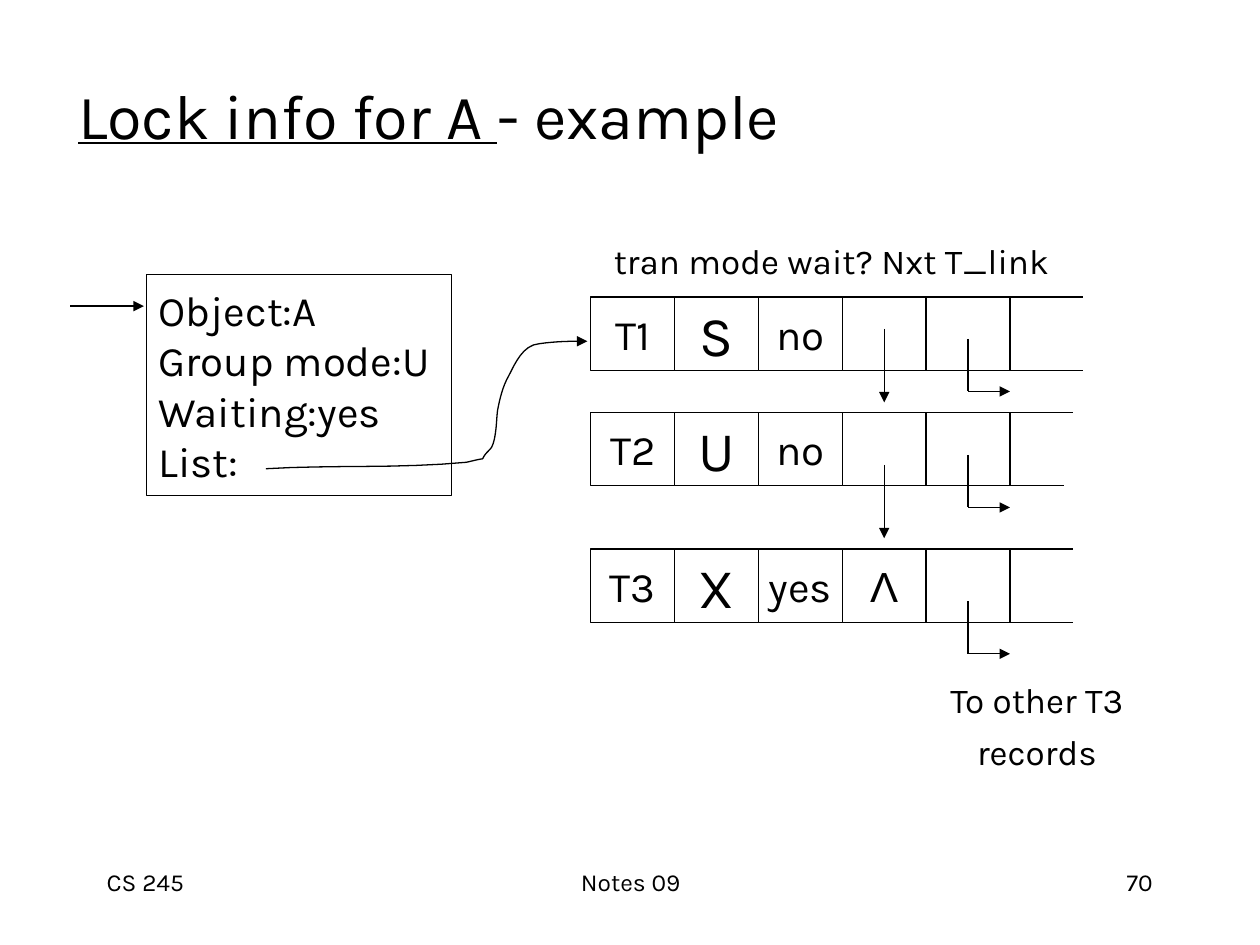
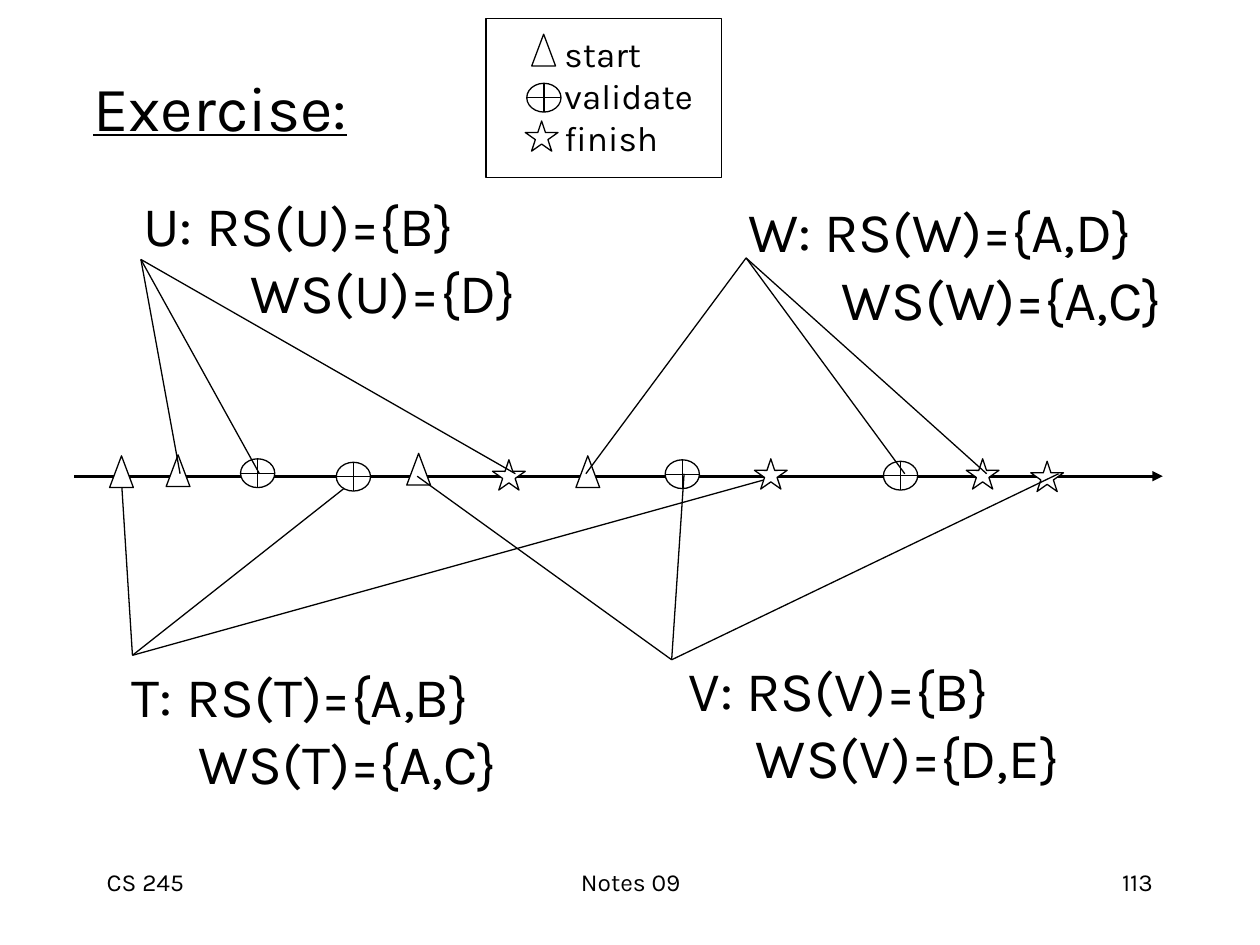
"""Build two lecture slides: a lock table example and a validation exercise."""
from dataclasses import dataclass
from typing import NamedTuple, Optional

from lxml import etree
from pptx import Presentation
from pptx.dml.color import RGBColor
from pptx.enum.shapes import MSO_CONNECTOR, MSO_SHAPE
from pptx.enum.text import MSO_ANCHOR, MSO_AUTO_SIZE, PP_ALIGN
from pptx.oxml.ns import qn
from pptx.util import Cm, Pt

STRAIGHT = MSO_CONNECTOR.STRAIGHT
RECT = MSO_SHAPE.RECTANGLE
START = MSO_SHAPE.FLOWCHART_EXTRACT
VALIDATE = MSO_SHAPE.FLOWCHART_OR
FINISH = MSO_SHAPE.STAR_5_POINT
LEFT, CENTER, RIGHT = PP_ALIGN.LEFT, PP_ALIGN.CENTER, PP_ALIGN.RIGHT
TOP, MIDDLE = MSO_ANCHOR.TOP, MSO_ANCHOR.MIDDLE
NO_FIT = MSO_AUTO_SIZE.NONE


@dataclass(frozen=True)
class Theme:
    """Colours, fonts and sizes used on every slide."""
    ink: RGBColor = RGBColor(0, 0, 0)
    paper: RGBColor = RGBColor(255, 255, 255)
    font: str = "Karla"
    symbol_font: str = "Arial"
    title: int = 36
    large: int = 32
    text: int = 24
    label: int = 20
    footer: int = 14
    thin: float = 0.75
    thick: float = 1.5


THEME = Theme()


class Point(NamedTuple):
    """A place in centimetres."""
    x: float
    y: float


class Box(NamedTuple):
    """A rectangle in centimetres."""
    left: float
    top: float
    width: float
    height: float

    def lengths(self) -> list:
        """Return the four values as lengths."""
        return [Cm(value) for value in self]


class Footer(NamedTuple):
    """A footer field; the text None stands for the slide number."""
    box: Box
    align: PP_ALIGN
    text: Optional[str]


class LockRecord(NamedTuple):
    """One transaction's row in the lock list."""
    top: float
    tran: str
    mode: str
    wait: str
    nxt: str
    next_start: Optional[float]
    link_start: float
    top_rail_end: float
    bottom_rail: Point


class Transaction(NamedTuple):
    """Read and write sets with rays from an apex to its events."""
    box: Box
    read_set: str
    write_set: str
    indent: float
    apex: Point
    events: list[Point]


class MarkerKind(NamedTuple):
    """An event symbol with its size and places, the legend's first."""
    shape: MSO_SHAPE
    width: float
    height: float
    places: list[Point]


FOOTERS = [
    Footer(Box(1.9, 17.35, 5.28, 1.27), LEFT, "CS 245"),
    Footer(Box(8.69, 17.35, 8.05, 1.27), CENTER, "Notes 09"),
    Footer(Box(18.21, 17.35, 5.28, 1.27), RIGHT, None),
]

CELL_WIDTH, CELL_HEIGHT, LIST_LEFT = 1.69, 1.48, 11.91
LIST_RIGHT = LIST_LEFT + 5 * CELL_WIDTH
LINK_DROP = 1.06
LOCK_RECORDS = [
    LockRecord(5.99, "T1", "S", "no", "", 6.63, 6.83, 21.84, Point(LIST_RIGHT, 21.84)),
    LockRecord(8.31, "T2", "U", "no", "", 9.37, 9.17, 21.64, Point(20.17, 21.44)),
    LockRecord(11.07, "T3", "X", "yes", "Λ", None, 12.12, 21.64, Point(LIST_RIGHT, 21.64)),
]
LIST_POINTER = [Point(*pair) for pair in (
    (5.36, 9.45), (6.71, 9.37), (8.05, 9.45), (9.4, 9.32),
    (9.5, 9.3), (9.6, 9.27), (9.73, 9.25),
    (9.78, 9.14), (9.86, 9.09), (9.91, 9.02),
    (10.01, 8.84), (10.01, 8.43), (10.03, 8.28),
    (10.08, 8.03), (10.13, 7.8), (10.26, 7.57),
    (10.39, 7.32), (10.54, 6.96), (10.87, 6.93),
    (11.23, 6.88), (11.48, 6.88), (11.84, 6.88),
)]

TRANSACTION_T = Transaction(
    Box(2.41, 13.21, 8.2, 2.97), "T: RS(T)={A,B}", "WS(T)={A,C}", 1.35,
    Point(2.67, 13.21), [Point(2.44, 9.55), Point(7.21, 9.63), Point(15.67, 9.6)])
OTHER_TRANSACTIONS = [
    Transaction(Box(13.64, 13.08, 8.26, 2.97), "V: RS(V)={B}", "WS(V)={D,E}", 1.35,
                Point(13.54, 13.3), [Point(8.41, 9.6), Point(13.79, 9.55), Point(21.34, 9.55)]),
    Transaction(Box(2.64, 3.71, 8.36, 2.97), "U: RS(U)={B}", "WS(U)={D}", 2.16,
                Point(2.84, 5.23), [Point(3.63, 9.55), Point(5.23, 9.55), Point(10.39, 9.55)]),
    Transaction(Box(14.83, 3.84, 9.19, 2.97), "W: RS(W)={A,D}", "WS(W)={A,C}", 1.89,
                Point(15.04, 5.2), [Point(11.81, 9.55), Point(18.24, 9.55), Point(19.89, 9.55)]),
]
MARKER_KINDS = [
    MarkerKind(START, 0.48, 0.64, [
        Point(10.72, 0.69), Point(2.21, 9.19), Point(3.35, 9.17), Point(8.2, 9.14),
        Point(11.61, 9.19)]),
    MarkerKind(VALIDATE, 0.69, 0.58, [
        Point(10.62, 1.68), Point(4.85, 9.25), Point(6.78, 9.32), Point(13.41, 9.27),
        Point(17.81, 9.3)]),
    MarkerKind(FINISH, 0.66, 0.61, [
        Point(10.59, 2.44), Point(9.93, 9.27), Point(15.21, 9.25), Point(19.48, 9.25),
        Point(20.78, 9.3)]),
]


def style_paragraph(paragraph, size: int, align: PP_ALIGN = LEFT, font: str = THEME.font) -> None:
    """Set a paragraph's alignment and font."""
    paragraph.alignment = align
    paragraph.font.name = font
    paragraph.font.size = Pt(size)
    paragraph.font.color.rgb = THEME.ink


def write_lines(frame, lines: list[str], size: int, align: PP_ALIGN = LEFT,
                anchor: MSO_ANCHOR = MIDDLE, wrap: bool = True, font: str = THEME.font) -> None:
    """Fill a text frame with one paragraph a line."""
    frame.word_wrap = wrap
    frame.vertical_anchor = anchor
    frame.text = "\n".join(lines)
    for paragraph in frame.paragraphs:
        style_paragraph(paragraph, size, align, font)


def add_text(slide, box: Box, lines: list[str], size: int, align: PP_ALIGN = LEFT,
             anchor: MSO_ANCHOR = MIDDLE):
    """Add a text box and return its frame."""
    frame = slide.shapes.add_textbox(*box.lengths()).text_frame
    write_lines(frame, lines, size, align, anchor)
    return frame


def style_line(shape, width: float = THEME.thin, arrow: bool = False) -> None:
    """Draw a shape's line in ink, with an arrowhead at its end if wanted."""
    shape.line.color.rgb = THEME.ink
    shape.line.width = Pt(width)
    if arrow:
        line = shape._element.spPr.find(qn("a:ln"))
        etree.SubElement(line, qn("a:tailEnd"), type="triangle")


def add_line(slide, start: Point, end: Point, arrow: bool = False,
             width: float = THEME.thin) -> None:
    """Add a straight line or arrow."""
    line = slide.shapes.add_connector(
        STRAIGHT, Cm(start.x), Cm(start.y), Cm(end.x), Cm(end.y))
    style_line(line, width, arrow)
    etree.SubElement(line._element.spPr, qn("a:effectLst"))


def add_outline(slide, kind: MSO_SHAPE, box: Box, filled: bool = True):
    """Add a thinly outlined shape."""
    shape = slide.shapes.add_shape(kind, *box.lengths())
    shape.shadow.inherit = False
    if filled:
        shape.fill.solid()
        shape.fill.fore_color.rgb = THEME.paper
    else:
        shape.fill.background()
    style_line(shape)
    return shape


def add_curve(slide, controls: list[Point], steps: int = 8) -> None:
    """Add an arrow along joined cubic curves."""
    trace = []
    for first in range(0, len(controls) - 1, 3):
        a, b, c, d = controls[first:first + 4]
        for step in range(1, steps + 1):
            t = step / steps
            weights = ((1 - t) ** 3, 3 * t * (1 - t) ** 2, 3 * t * t * (1 - t), t ** 3)
            trace.append(tuple(
                Cm(sum(weight * value for weight, value in zip(weights, axis)))
                for axis in zip(a, b, c, d)))
    builder = slide.shapes.build_freeform(Cm(controls[0].x), Cm(controls[0].y))
    builder.add_line_segments(trace, close=False)
    curve = builder.convert_to_shape()
    curve.shadow.inherit = False
    curve.fill.background()
    style_line(curve, arrow=True)


def add_slide(deck, layout: int, title_box: Box, underlined: str, plain: str, number: int):
    """Add a slide with its title and footers."""
    slide = deck.slides.add_slide(deck.slide_layouts[layout])
    title = slide.shapes.title
    title.left, title.top, title.width, title.height = title_box.lengths()
    frame = title.text_frame
    frame.auto_size = NO_FIT
    frame.vertical_anchor = MIDDLE
    heading = frame.paragraphs[0]
    style_paragraph(heading, THEME.title)
    for words, underline in ((underlined, True), (plain, False)):
        if words:
            run = heading.add_run()
            run.text = words
            run.font.underline = underline
    for footer in FOOTERS:
        add_text(slide, footer.box, [footer.text or str(number)], THEME.footer,
                 footer.align, TOP)
    return slide


def add_lock_record(slide, record: LockRecord) -> None:
    """Draw a row of cells and the rails that continue it."""
    cells = ((record.tran, THEME.text, THEME.font), (record.mode, THEME.large, THEME.font),
             (record.wait, THEME.text, THEME.font),
             (record.nxt, THEME.text, THEME.symbol_font), ("", THEME.text, THEME.font))
    for column, (text, size, font) in enumerate(cells):
        cell = add_outline(slide, RECT, Box(
            LIST_LEFT + column * CELL_WIDTH, record.top, CELL_WIDTH, CELL_HEIGHT))
        if text:
            write_lines(cell.text_frame, [text], size, CENTER, wrap=False, font=font)
    bottom = record.top + CELL_HEIGHT
    add_line(slide, Point(LIST_RIGHT, record.top), Point(record.top_rail_end, record.top))
    add_line(slide, Point(record.bottom_rail[0], bottom), Point(record.bottom_rail[1], bottom))


def add_record_links(slide, record: LockRecord) -> None:
    """Draw a row's next pointer and transaction link."""
    if record.next_start is not None:
        next_x = LIST_LEFT + 3.5 * CELL_WIDTH
        add_line(slide, Point(next_x, record.next_start),
                 Point(next_x, record.next_start + CELL_HEIGHT), arrow=True)
    link_x = LIST_LEFT + 4.5 * CELL_WIDTH
    corner = Point(link_x, record.link_start + LINK_DROP)
    add_line(slide, Point(link_x, record.link_start), corner)
    add_line(slide, corner, Point(LIST_RIGHT, corner.y), arrow=True)


def build_lock_slide(deck) -> None:
    """Build the lock table example."""
    slide = add_slide(deck, 1, Box(1.32, 0.91, 21.59, 2.77), "Lock info for A ", "- example", 70)
    columns = slide.placeholders[1]
    columns.left, columns.top, columns.width, columns.height = Box(12.12, 4.71, 10.2, 1.1).lengths()
    columns.text_frame.auto_size = NO_FIT
    columns.text_frame.text = "tran mode wait? Nxt T_link"
    header = columns.text_frame.paragraphs[0]
    header.space_before = Pt(0)
    properties = header._p.get_or_add_pPr()
    properties.set("marL", "0")
    properties.set("indent", "0")
    etree.SubElement(properties, qn("a:buNone"))
    style_paragraph(header, THEME.label)

    lock_entry = add_outline(slide, RECT, Box(2.95, 5.54, 6.15, 4.45))
    write_lines(lock_entry.text_frame,
                ["Object:A", "Group mode:U", "Waiting:yes", "List:"], THEME.text)
    add_line(slide, Point(1.42, 6.17), Point(2.9, 6.17), arrow=True)
    for record in LOCK_RECORDS:
        add_lock_record(slide, record)
    for record in LOCK_RECORDS:
        add_record_links(slide, record)
    remark = add_text(slide, Box(18.67, 13.56, 4.47, 2.13), ["To other T3", "records"],
                      THEME.label, CENTER)
    remark.paragraphs[1].space_before = Pt(6)
    add_curve(slide, LIST_POINTER)


def add_transaction(slide, transaction: Transaction, arrow: bool = False) -> None:
    """Write a transaction's sets and draw its rays."""
    sets = add_text(slide, transaction.box, [transaction.read_set, transaction.write_set],
                    THEME.large)
    sets.paragraphs[1]._p.get_or_add_pPr().set("marL", str(Cm(transaction.indent)))
    for event in transaction.events:
        add_line(slide, transaction.apex, event, arrow)


def build_exercise_slide(deck) -> None:
    """Build the validation exercise with its time line."""
    slide = add_slide(deck, 5, Box(1.63, 1.22, 21.59, 1.83), "Exercise:", "", 113)
    add_line(slide, Point(1.5, 9.6), Point(23.44, 9.6), arrow=True, width=THEME.thick)
    add_transaction(slide, TRANSACTION_T, arrow=True)
    for kind in MARKER_KINDS:
        for place in kind.places:
            add_outline(slide, kind.shape, Box(place.x, place.y, kind.width, kind.height))
    for transaction in OTHER_TRANSACTIONS:
        add_transaction(slide, transaction)
    add_text(slide, Box(11.13, 0.53, 3.3, 2.79), ["start", "validate", "finish"], THEME.label)
    add_outline(slide, RECT, Box(9.8, 0.38, 4.75, 3.2), filled=False)


def main() -> None:
    """Build and save the deck."""
    deck = Presentation()
    deck.slide_width, deck.slide_height = Cm(25.4), Cm(19.05)
    build_lock_slide(deck)
    build_exercise_slide(deck)
    deck.save("out.pptx")


if __name__ == "__main__":
    main()
